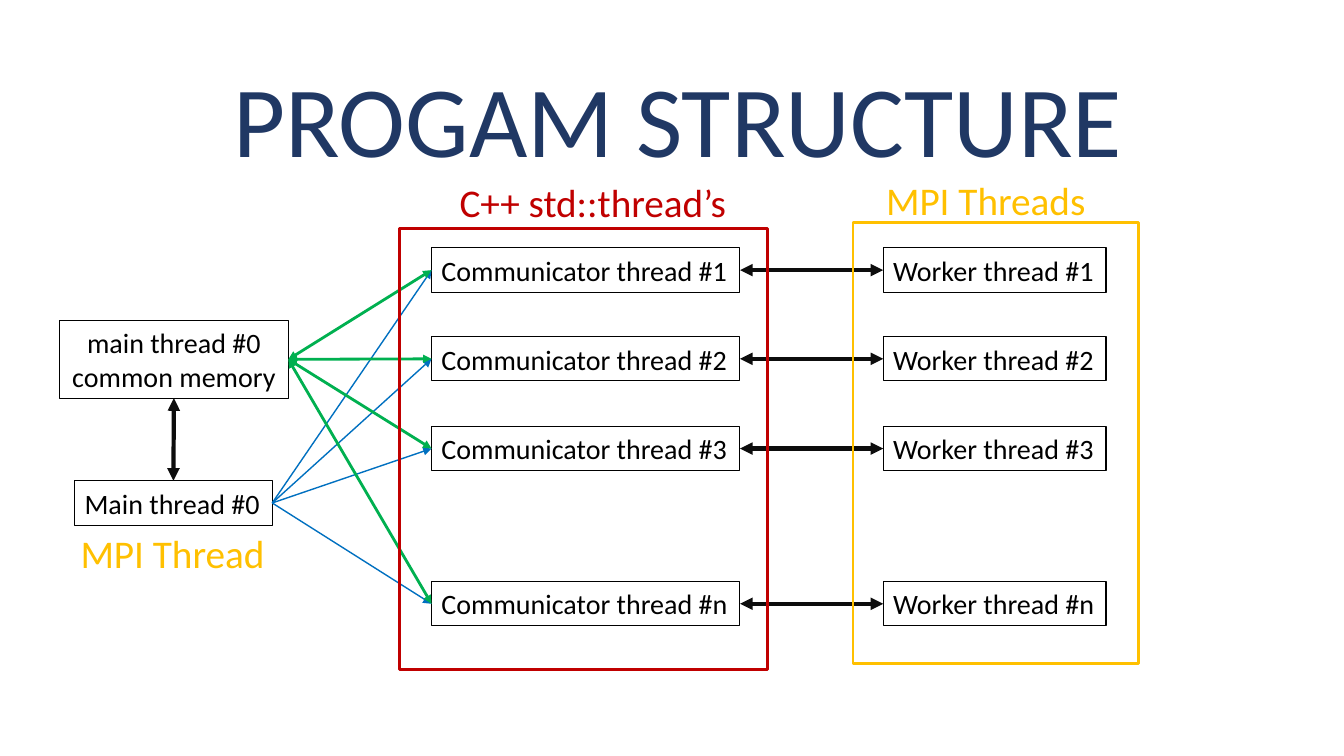
"""Build the program structure slide with its threads and the links between them."""
from lxml.etree import SubElement
from pptx import Presentation
from pptx.dml.color import RGBColor
from pptx.enum.shapes import MSO_CONNECTOR, MSO_SHAPE
from pptx.enum.text import MSO_AUTO_SIZE, PP_ALIGN
from pptx.oxml.ns import qn
from pptx.util import Inches, Pt

NAVY, BLACK, INK = "203864", "000000", "0D0D0D"
BLUE, GREEN, GOLD, RED = "0070C0", "00B050", "FFC000", "C00000"
TOP, LEFT, BOTTOM, RIGHT = range(4)
CENTER = PP_ALIGN.CENTER

TITLE = ("PROGAM STRUCTURE", (2.17, 0.51, 9.11, 1.31), 72, NAVY, CENTER)
CAPTIONS = [
    ("MPI Thread", (0.7, 5.2, 2.05, 0.57), 28, GOLD, PP_ALIGN.LEFT),
    ("MPI Threads", (8.69, 1.7, 2.2, 0.57), 28, GOLD, PP_ALIGN.LEFT),
    ("C++ std::thread’s", (4.44, 1.72, 2.88, 0.57), 28, RED, CENTER),
]
MEMORY = ("main thread #0\ncommon memory", (0.59, 3.18, 2.27, 0.77), CENTER)
MAIN = ("Main thread #0", (0.74, 4.77, 1.96, 0.44), PP_ALIGN.LEFT)
THREAD_ROWS = [("1", 2.46), ("2", 3.34), ("3", 4.23), ("n", 5.77)]
COLUMNS = [("Communicator", 4.28, 3.06), ("Worker", 8.76, 2.21)]
FRAMES = [((8.46, 2.21, 2.83, 4.37), GOLD), ((3.96, 2.27, 3.65, 4.37), RED)]


def color(value):
    return RGBColor.from_string(value)


def write(shape, text, size, ink, align):
    frame = shape.text_frame
    frame.text = text
    frame.word_wrap = False
    frame.auto_size = MSO_AUTO_SIZE.SHAPE_TO_FIT_TEXT
    for para in frame.paragraphs:
        para.alignment = align
        for name, value in {"name": "Calibri", "size": Pt(size)}.items():
            setattr(para.font, name, value)
        para.font.color.rgb = color(ink)


def add_label(page, text, place, size, ink, align):
    box = page.shapes.add_textbox(*map(Inches, place))
    write(box, text, size, ink, align)


def add_frame(page, place, ink, width):
    box = page.shapes.add_shape(MSO_SHAPE.RECTANGLE, *map(Inches, place))
    box.shadow.inherit = False
    box.fill.background()
    box.line.color.rgb = color(ink)
    box.line.width = Pt(width)
    return box


def add_thread(page, text, place, align=PP_ALIGN.LEFT):
    box = add_frame(page, place, BLACK, 0.75)
    write(box, text, 20, BLACK, align)
    return box


def link(page, start, start_side, end, end_side, ink, width, ends=("headEnd", "tailEnd")):
    line = page.shapes.add_connector(MSO_CONNECTOR.STRAIGHT, 0, 0, 0, 0)
    line.begin_connect(start, start_side)
    line.end_connect(end, end_side)
    line.line.color.rgb = color(ink)
    line.line.width = Pt(width)
    outline = line.line._get_or_add_ln()
    for end_name in ends:
        SubElement(outline, qn(f"a:{end_name}"), type="triangle")
    SubElement(line._element.spPr, qn("a:effectLst"))


def main():
    deck = Presentation()
    deck.slide_width, deck.slide_height = Inches(13.33), Inches(7.5)
    page = deck.slides.add_slide(deck.slide_layouts[6])

    add_label(page, *TITLE)
    memory = add_thread(page, *MEMORY)
    main_thread = add_thread(page, *MAIN)
    communicators, workers = [
        [add_thread(page, f"{role} thread #{number}", (left, top, width, 0.44))
         for number, top in THREAD_ROWS]
        for role, left, width in COLUMNS
    ]

    for worker, communicator in zip(workers, communicators):
        link(page, worker, LEFT, communicator, RIGHT, INK, 3)
    link(page, memory, BOTTOM, main_thread, TOP, INK, 3)
    for communicator in communicators:
        link(page, communicator, LEFT, main_thread, RIGHT, BLUE, 1, ("headEnd",))
    for communicator in communicators:
        link(page, communicator, LEFT, memory, RIGHT, GREEN, 2)

    for place, ink in FRAMES:
        add_frame(page, place, ink, 2)
    for caption in CAPTIONS:
        add_label(page, *caption)
    deck.save("out.pptx")


if __name__ == "__main__":
    main()
